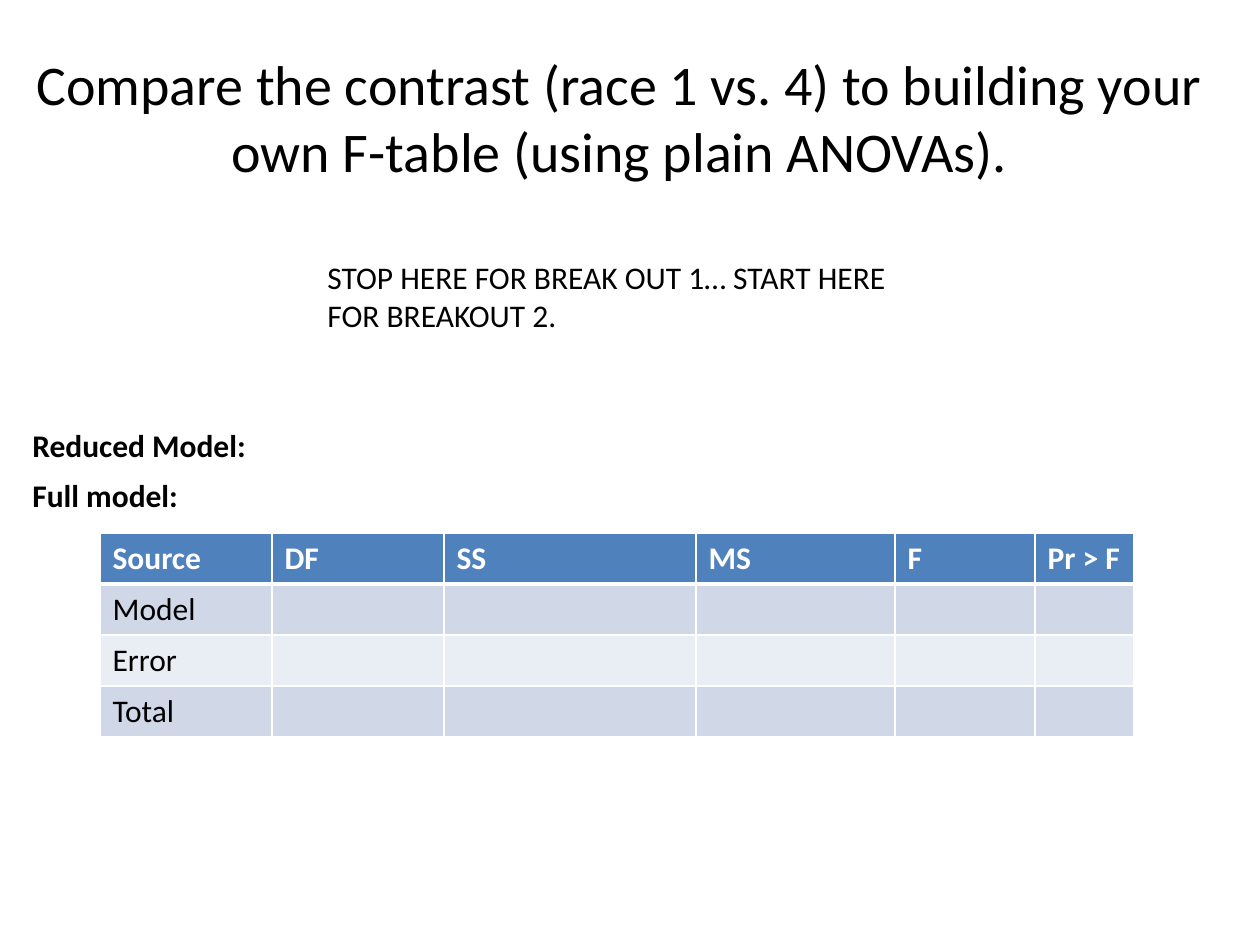
from lxml import etree
from pptx import Presentation, util as u
from pptx.dml.color import RGBColor
from pptx.enum import text
from pptx.oxml.ns import qn

SCALE = u.Inches(1) / 126
COLORS = {"black": "000000", "white": "FFFFFF", "header": "4F81BD",
          "band": "D0D8E8", "light band": "E9EDF4"}


def px(length):
    return u.Emu(round(length * SCALE))


def add_run(paragraph, words, size=18, color="black", bold=False):
    run = paragraph.add_run()
    run.text = words
    run.font.name = "Calibri"
    run.font.size = u.Pt(size)
    run.font.bold = bold
    run.font.color.rgb = RGBColor.from_string(COLORS[color])


presentation = Presentation()
presentation.slide_width, presentation.slide_height = px(1260), px(945)
slide = presentation.slides.add_slide(presentation.slide_layouts[6])

# Title
title = slide.shapes.add_textbox(px(0), px(38), px(1239), px(157))
title.text_frame.word_wrap = True
title.text_frame.vertical_anchor = text.MSO_ANCHOR.MIDDLE
paragraph = title.text_frame.paragraphs[0]
paragraph.alignment = text.PP_ALIGN.CENTER
add_run(paragraph, "Compare the contrast (race 1 vs. 4) to building your "
        "own F-table (using plain ANOVAs).", size=32)

# F-table
rows = [["Source", "DF", "SS", "MS", "F", "Pr > F"], ["Model"], ["Error"], ["Total"]]
row_fills = ["header", "band", "light band", "band"]
column_widths = [172, 172, 252, 199, 140, 99]
row_height = 51
table = slide.shapes.add_table(
    len(rows), len(column_widths), px(100), px(533),
    px(sum(column_widths)), px(row_height * len(rows))).table
for column, width in zip(table.columns, column_widths):
    column.width = px(width)

for row_index, (labels, fill) in enumerate(zip(rows, row_fills)):
    is_header = row_index == 0
    table.rows[row_index].height = px(row_height)
    border_widths = {"lnL": 1, "lnR": 1, "lnT": 3 if row_index == 1 else 1,
                     "lnB": 3 if is_header else 1}
    for cell in table.rows[row_index].cells:
        properties = cell._tc.get_or_add_tcPr()
        for side, width in border_widths.items():
            line = etree.SubElement(properties, qn(f"a:{side}"), w=str(u.Pt(width)))
            line_fill = etree.SubElement(line, qn("a:solidFill"))
            etree.SubElement(line_fill, qn("a:srgbClr"), val=COLORS["white"])
        cell.fill.solid()
        cell.fill.fore_color.rgb = RGBColor.from_string(COLORS[fill])
    for column_index, label in enumerate(labels):
        add_run(table.cell(row_index, column_index).text_frame.paragraphs[0], label,
                color="white" if is_header else "black", bold=is_header)

# Model labels and breakout note
notes = [
    ("Full model:", (20, 470, 173, 50), True),
    ("Reduced Model:", (20, 420, 241, 50), True),
    ("STOP HERE FOR BREAK OUT 1… START HERE FOR BREAKOUT 2.", (315, 252, 588, 89), False),
]
for words, bounds, is_label in notes:
    box = slide.shapes.add_textbox(*map(px, bounds))
    box.text_frame.word_wrap = not is_label
    box.text_frame.auto_size = text.MSO_AUTO_SIZE.SHAPE_TO_FIT_TEXT
    add_run(box.text_frame.paragraphs[0], words, bold=is_label)

presentation.save("out.pptx")
